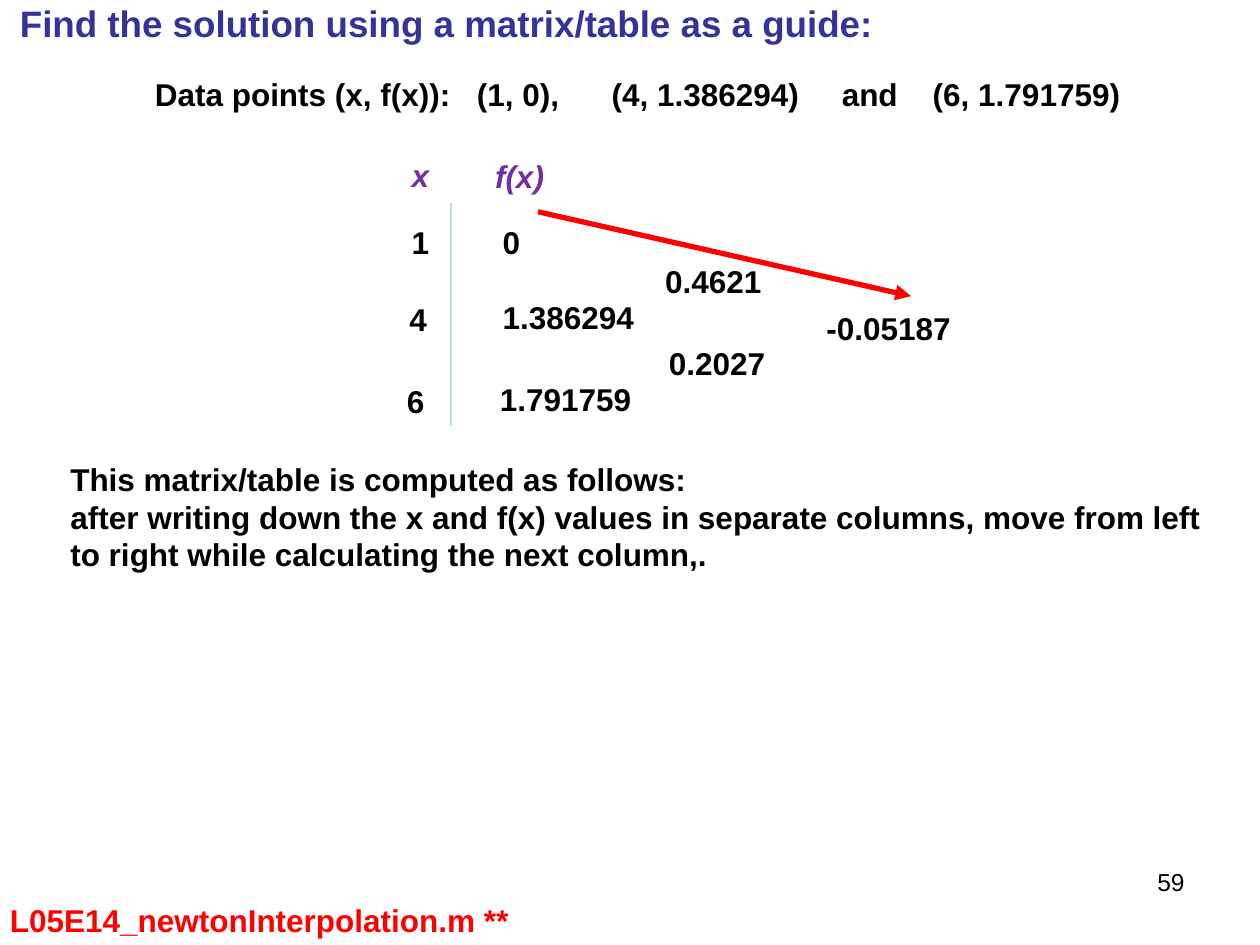
from lxml import etree
from pptx import Presentation
from pptx.dml.color import RGBColor
from pptx.enum.shapes import MSO_CONNECTOR
from pptx.enum.text import MSO_ANCHOR, PP_ALIGN
from pptx.oxml.ns import qn
from pptx.util import Pt

BLACK = RGBColor(0x00, 0x00, 0x00)
NAVY = RGBColor(0x33, 0x33, 0x99)
PURPLE = RGBColor(0x70, 0x30, 0xA0)
RED = RGBColor(0xFF, 0x00, 0x00)
PALE_TEAL = RGBColor(0xB6, 0xDC, 0xDF)

presentation = Presentation()
presentation.slide_width = Pt(720)
presentation.slide_height = Pt(540)
slide = presentation.slides.add_slide(presentation.slide_layouts[6])


def add_text(lines, left, top, width, height=28.8, size=18, color=BLACK,
             bold=True, italic=False, align=PP_ALIGN.LEFT, wrap=False):
    """Add a text box with one paragraph per line and return its text frame."""
    frame = slide.shapes.add_textbox(Pt(left), Pt(top), Pt(width), Pt(height)).text_frame
    frame.word_wrap = wrap
    for index, line in enumerate(lines):
        paragraph = frame.paragraphs[0] if index == 0 else frame.add_paragraph()
        paragraph.alignment = align
        run = paragraph.add_run()
        run.text = line
        run.font.name = "Arial"
        run.font.size = Pt(size)
        run.font.bold = bold
        run.font.italic = italic
        run.font.color.rgb = color
    return frame


def add_line(start, end, color, width):
    line = slide.shapes.add_connector(
        MSO_CONNECTOR.STRAIGHT, Pt(start[0]), Pt(start[1]), Pt(end[0]), Pt(end[1]))
    line.line.color.rgb = color
    line.line.width = Pt(width)
    etree.SubElement(line._element.spPr, qn("a:effectLst"))
    return line


title = add_text(["Find the solution using a matrix/table as a guide:"],
                 1.4, -2.9, 507.6, 32.4, size=21, color=NAVY, align=PP_ALIGN.CENTER)
title.vertical_anchor = MSO_ANCHOR.MIDDLE

data_points = add_text(
    ["Data points (x, f(x)):\t(1, 0),\t(4, 1.386294)\tand\t(6, 1.791759)"],
    81.4, 39.6, 575, wrap=True)
tab_stops = etree.SubElement(data_points.paragraphs[0]._p.get_or_add_pPr(), qn("a:tabLst"))
for position in (184, 261, 392.5, 444.5):
    etree.SubElement(tab_stops, qn("a:tab"), pos=str(Pt(position)), algn="l")

# Divided-difference table: each column sits between the rows of the one before
for heading, left, top, width in (("x", 228.2, 85.7, 24.5), ("f(x)", 275.8, 86.4, 42.5)):
    add_text([heading], left, top, width, color=PURPLE, italic=True)

for value, left, top, width in (
    ("1", 228.2, 123.8, 24.5),
    ("4", 226.8, 167.8, 24.5),
    ("6", 225.4, 214.6, 24.5),
    ("0", 280.1, 123.8, 24.5),
    ("1.386294", 280.1, 167, 90),
    ("1.791759", 278.6, 213.8, 90),
    ("0.4621", 373, 146.2, 69.8),
    ("0.2027", 375.1, 193, 69.8),
    ("-0.05187", 465.1, 172.8, 86.4),
):
    add_text([value], left, top, width)

add_line((257.8, 115.9), (257.8, 243.4), PALE_TEAL, 0.75)
direction_arrow = add_line((307.4, 121), (520.6, 169.2), RED, 3)
etree.SubElement(direction_arrow.line._get_or_add_ln(), qn("a:tailEnd"), type="triangle")

add_text(["This matrix/table is computed as follows:",
          "after writing down the x and f(x) values in separate columns, move from left "
          "to right while calculating the next column,."],
         33.1, 259.2, 663.8, 72.7, wrap=True)

add_text(["59"], 516.2, 491.8, 167.8, 37.4, size=14, bold=False,
         align=PP_ALIGN.RIGHT, wrap=True)
add_text(["L05E14_newtonInterpolation.m **"], -1.4, 511.2, 308.9, color=RED, wrap=True)

presentation.save("out.pptx")
